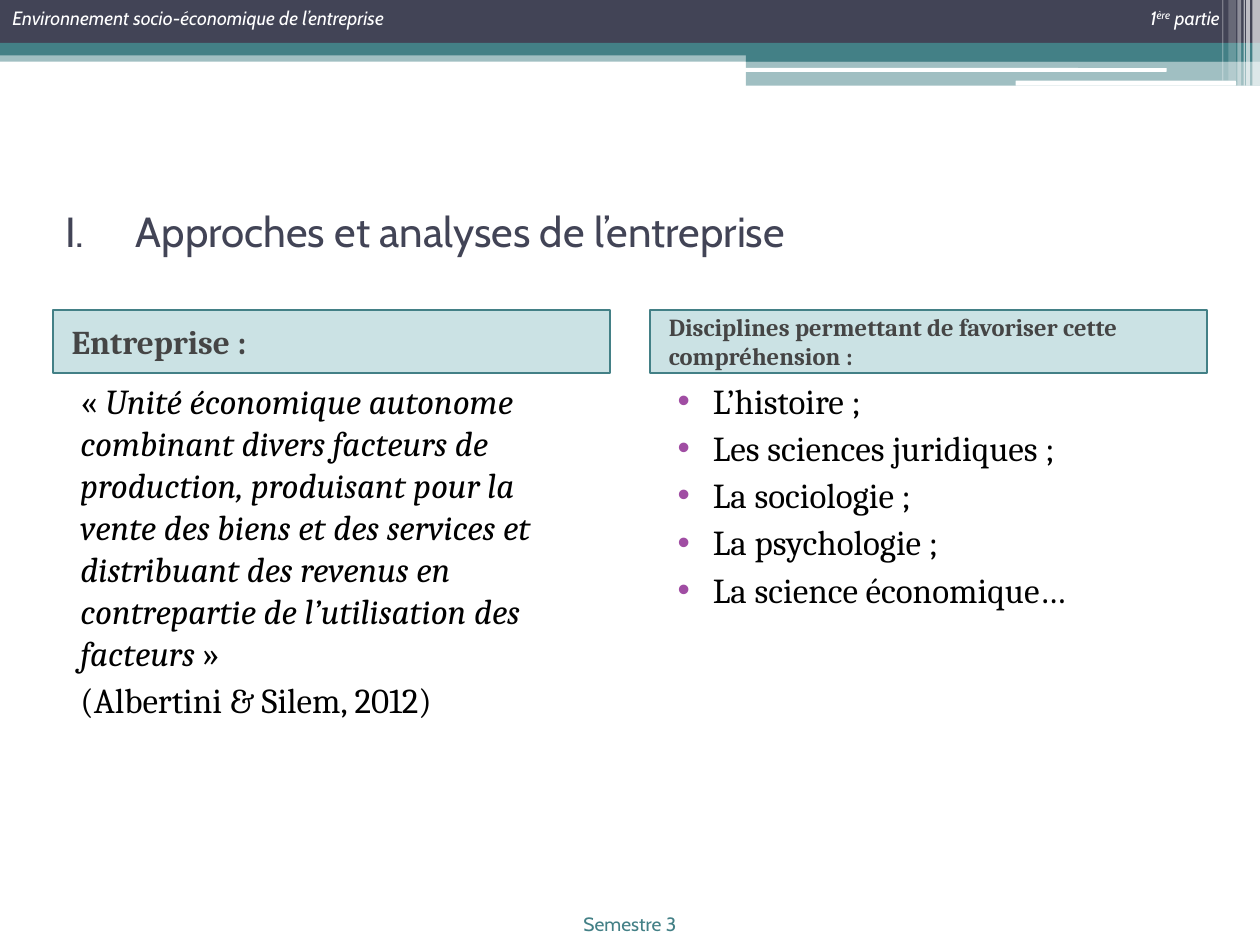
"""Build the slide on approaches to and analyses of the enterprise."""
import pptx
import pptx.util
import pptx.dml.color
import pptx.enum.shapes
import pptx.enum.text
import pptx.oxml
import pptx.oxml.ns

Inches = pptx.util.Inches
Pt = pptx.util.Pt
RGB = pptx.dml.color.RGBColor
SHAPE = pptx.enum.shapes.MSO_SHAPE
ALIGN = pptx.enum.text.PP_ALIGN
ANCHOR = pptx.enum.text.MSO_ANCHOR
qn = pptx.oxml.ns.qn

WHITE = RGB(0xFF, 0xFF, 0xFF)
BLACK = RGB(0, 0, 0)
NAVY = RGB(0x42, 0x44, 0x56)
TEAL = RGB(0x43, 0x80, 0x86)
AQUA = RGB(0x32, 0x8E, 0x97)
GREY = RGB(0x45, 0x45, 0x45)
PURPLE = RGB(0xA0, 0x4D, 0xA3)

HEADER = dict(name="Cabin", size=Pt(11), color=WHITE, italic=True)
FOOTER = dict(name="Cabin", size=Pt(11), color=TEAL)
TITLE = dict(name="Cabin", size=Pt(24), color=NAVY)
HEADING = dict(name="Cambria", color=GREY, bold=True)
BODY = dict(name="Cambria", size=Pt(20), color=BLACK)

NS = 'xmlns:a="http://schemas.openxmlformats.org/drawingml/2006/main"'
DOT = (f'<a:buClr {NS}><a:srgbClr val="{PURPLE}"/></a:buClr>',
       f'<a:buFont {NS} typeface="Arial"/>',
       f'<a:buChar {NS} char="&#8226;"/>')
ROMAN = (f'<a:buFont {NS} typeface="+mj-lt"/>',
         f'<a:buAutoNum {NS} type="romanUcPeriod"/>')


def add_box(s, box, fill, alpha=100, kind=SHAPE.RECTANGLE):
    """Add a plain filled shape with optional opacity in percent."""
    sp = s.shapes.add_shape(kind, *map(Inches, box))
    sp.shadow.inherit = False
    sp.fill.solid()
    sp.fill.fore_color.rgb = fill
    sp.line.fill.background()
    if alpha < 100:
        clr = sp._element.spPr.find(qn("a:solidFill")).find(qn("a:srgbClr"))
        clr.append(pptx.oxml.parse_xml(f'<a:alpha {NS} val="{alpha * 1000}"/>'))
    return sp


def add_run(p, text, fmt):
    """Add a run whose font follows the format values."""
    r = p.add_run()
    r.text = text
    for key, value in fmt.items():
        if key == "color":
            r.font.color.rgb = value
        elif key == "baseline":
            r._r.get_or_add_rPr().set(key, str(value))
        else:
            setattr(r.font, key, value)


def write(sp, paras, fmt, anchor=ANCHOR.TOP, align=ALIGN.LEFT, before=0,
          indent=(0, 0), bullet=()):
    """Fill a shape with paragraphs made of (text, extra format) runs."""
    tf = sp.text_frame
    tf.word_wrap = True
    tf.vertical_anchor = anchor
    for i, runs in enumerate(paras):
        p = tf.paragraphs[0] if i == 0 else tf.add_paragraph()
        p.alignment = align
        p.space_before = Pt(before)
        pPr = p._p.get_or_add_pPr()
        for key, value in zip(("marL", "indent"), indent):
            pPr.set(key, str(Inches(value)))
        for xml in bullet:
            pPr.append(pptx.oxml.parse_xml(xml))
        for text, extra in runs:
            add_run(p, text, {**fmt, **extra})


def add_text(s, box, paras, fmt, **layout):
    """Add a text box and write its paragraphs."""
    write(s.shapes.add_textbox(*map(Inches, box)), paras, fmt, **layout)


def add_banner(s, x, y, w):
    """Draw the top bands, the right-hand stripes and the header texts."""
    step = x + 5.92
    tail = x + w - step
    add_box(s, (x, y + 0.4, w, 0.09), TEAL, 50)
    add_box(s, (x, y, w, 0.34), NAVY)
    add_box(s, (x, y + 0.34, w, 0.1), TEAL)
    add_box(s, (step, y + 0.39, tail, 0.1), TEAL)
    add_box(s, (step, y + 0.48, tail, 0.2), TEAL, 50)
    for dx, dy, width, height in ((5.91, 0.54, 3.35, 0.03),
                                  (8.06, 0.64, 1.75, 0.04)):
        add_box(s, (x + dx, y + dy, width, height), WHITE,
                kind=SHAPE.ROUNDED_RECTANGLE)
    for dx, width, height, alpha in (
            (9.94, 0.06, 0.68, 65), (9.89, 0.03, 0.68, 65),
            (9.87, 0.01, 0.68, 60), (9.82, 0.03, 0.68, 40),
            (9.75, 0.06, 0.64, 20), (9.7, 0.01, 0.64, 30)):
        add_box(s, (x + dx, y, width, height), WHITE, alpha)
    add_text(s, (x, y, 3.93, 0.29),
             [[("Environnement socio-économique de l’entreprise", {})]], HEADER)
    add_text(s, (x + 5.85, y, 3.93, 0.29),
             [[("1", {}), ("ère", dict(baseline=30000)), (" partie", {})]],
             HEADER, align=ALIGN.RIGHT)


def add_column(s, x, y, w, h, heading, size, paras, **layout):
    """Draw a framed heading with its body text below."""
    head = 0.5
    sp = add_box(s, (x, y, w, head), AQUA, 25)
    sp.line.color.rgb = TEAL
    sp.line.width = Pt(1)
    write(sp, [[(heading, dict(size=Pt(size)))]], HEADING,
          anchor=ANCHOR.MIDDLE, before=3, indent=(0.05, 0))
    add_text(s, (x, y + head, w, h - head), paras, BODY, before=3, **layout)


def build():
    """Assemble and save the slide."""
    prs = pptx.Presentation()
    prs.slide_width, prs.slide_height = Inches(10), Inches(7.5)
    s = prs.slides.add_slide(prs.slide_layouts[6])
    add_banner(s, 0, 0, 10)
    add_text(s, (3.7, 7.19, 2.6, 0.29), [[("Semestre 3", {})]], FOOTER,
             align=ALIGN.CENTER)
    add_text(s, (0.42, 1.25, 9.17, 1.17),
             [[("Approches et analyses de l’entreprise", {})]], TITLE,
             anchor=ANCHOR.MIDDLE, indent=(0.56, -0.56), bullet=ROMAN)
    quote = ("Unité économique autonome combinant divers facteurs de "
             "production, produisant pour la vente des biens et des services "
             "et distribuant des revenus en contrepartie de l’utilisation "
             "des facteurs")
    add_column(s, 0.42, 2.46, 4.42, 4.75, "Entreprise\u00a0: ", 19,
               [[("«\u00a0", {}), (quote, dict(italic=True)), ("\u00a0»", {})],
                [("(Albertini & Silem, 2012)", {})]], indent=(0.12, 0))
    fields = ("L’histoire ;", "Les sciences juridiques ;", "La sociologie ;",
              "La psychologie ;", "La science économique…")
    add_column(s, 5.16, 2.46, 4.42, 4.75,
               "Disciplines permettant de favoriser cette compréhension :", 14,
               [[(field, {})] for field in fields],
               indent=(0.4, -0.28), bullet=DOT)
    prs.save("out.pptx")


build()
